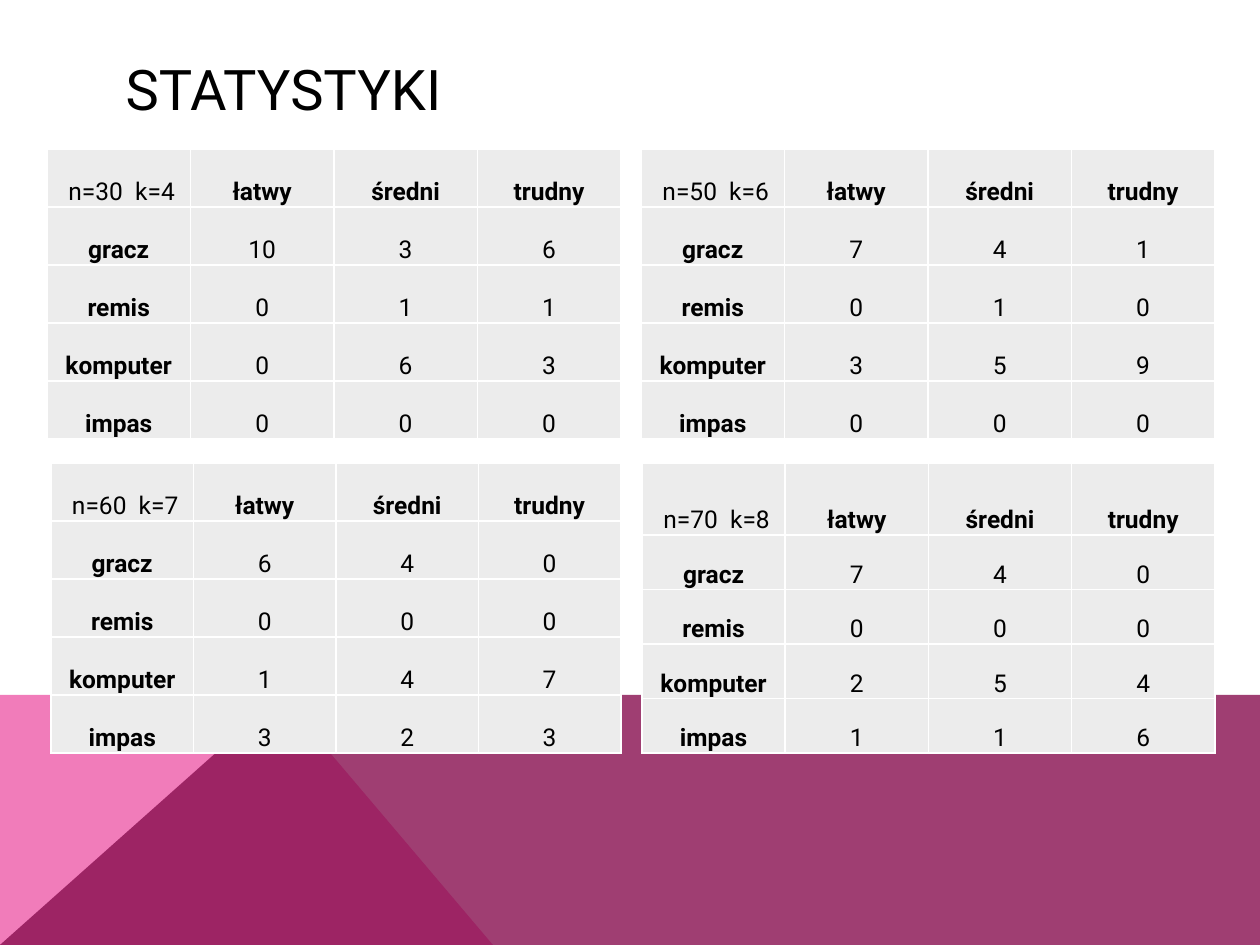
from lxml import etree
from pptx import Presentation
from pptx import util as u
from pptx.dml.color import RGBColor
from pptx.enum import text
from pptx.oxml import ns

PX = u.Inches(1) / 126
FONT = "Roboto"
COLORS = {
    "text": "000000",
    "cell": "ECECEC",
    "border": "FFFFFF",
    "pink": "F17CBA",
    "plum": "880E4F",
}
LEVELS = ["łatwy", "średni", "trudny"]
OUTCOMES = ["gracz", "remis", "komputer", "impas"]

# label, box (left, top, width, height), header row height, counts by outcome
STATS = [
    (" n=30  k=4", (47, 149, 574, 290), 58,
     [(10, 3, 6), (0, 1, 1), (0, 6, 3), (0, 0, 0)]),
    (" n=50  k=6", (641, 149, 574, 290), 58,
     [(7, 4, 1), (0, 1, 0), (3, 5, 9), (0, 0, 0)]),
    (" n=60  k=7", (51, 463, 570, 290), 58,
     [(6, 4, 0), (0, 0, 0), (1, 4, 7), (3, 2, 3)]),
    (" n=70  k=8", (642, 463, 573, 290), 72,
     [(7, 4, 0), (0, 0, 0), (2, 5, 4), (1, 1, 6)]),
]


def px(n):
    return u.Emu(round(n * PX))


def rgb(name):
    return RGBColor.from_string(COLORS[name])


def add_run(p, content, size, bold=False):
    r = p.add_run()
    r.text = content
    r.font.size, r.font.name, r.font.bold = u.Pt(size), FONT, bold
    r.font.color.rgb = rgb("text")


def add_polygon(slide, points, color, opacity=100):
    builder = slide.shapes.build_freeform(*points[0], scale=PX)
    builder.add_line_segments(points[1:], close=True)
    sp = builder.convert_to_shape()
    sp.shadow.inherit = False
    sp.line.fill.background()
    sp.fill.solid()
    sp.fill.fore_color.rgb = rgb(color)
    if opacity < 100:
        clr = sp.fill._xPr.find(".//" + ns.qn("a:srgbClr"))
        etree.SubElement(clr, ns.qn("a:alpha"), val=str(opacity * 1000))


def add_backdrop(slide, x, y, w, h):
    peak = (x + 281, y)
    add_polygon(slide, [(x, y + h), (x, y), peak, (x + 493, y + h)], "pink")
    add_polygon(slide, [(x, y + h), peak, (x + w, y), (x + w, y + h)],
                "plum", opacity=80)


def add_title(slide, x, y, w, h):
    title = slide.shapes.title
    title.left, title.top, title.width, title.height = map(px, (x, y, w, h))
    tf = title.text_frame
    tf.vertical_anchor = text.MSO_ANCHOR.MIDDLE
    p = tf.paragraphs[0]
    p.alignment = text.PP_ALIGN.LEFT
    add_run(p, "STATYSTYKI", 32)


def set_borders(cell):
    tc_pr = cell._tc.get_or_add_tcPr()
    for i, side in enumerate(("lnL", "lnR", "lnT", "lnB")):
        ln = etree.Element(ns.qn("a:" + side), w=str(u.Pt(1)))
        fill = etree.SubElement(ln, ns.qn("a:solidFill"))
        etree.SubElement(fill, ns.qn("a:srgbClr"), val=COLORS["border"])
        tc_pr.insert(i, ln)


def fill_cell(cell, content, bold):
    cell.margin_left = cell.margin_right = cell.margin_top = px(1)
    cell.margin_bottom = 0
    cell.vertical_anchor = text.MSO_ANCHOR.BOTTOM
    cell.fill.solid()
    cell.fill.fore_color.rgb = rgb("cell")
    set_borders(cell)
    p = cell.text_frame.paragraphs[0]
    p.alignment = text.PP_ALIGN.CENTER
    add_run(p, content, 14, bold)


def add_stats_table(slide, label, box, header_h, counts):
    x, y, w, h = box
    rows = [[label, *LEVELS]]
    rows += [[name, *values] for name, values in zip(OUTCOMES, counts)]
    n_rows, n_cols = len(rows), len(rows[0])
    table = slide.shapes.add_table(n_rows, n_cols, *map(px, box)).table
    table.first_row = table.horz_banding = False
    for col in table.columns:
        col.width = px(w / n_cols)
    for i, row in enumerate(rows):
        body_h = (h - header_h) / (n_rows - 1)
        table.rows[i].height = px(body_h if i else header_h)
        for j, value in enumerate(row):
            is_heading = (i == 0) != (j == 0)
            fill_cell(table.cell(i, j), str(value), is_heading)


def main():
    prs = Presentation()
    prs.slide_width, prs.slide_height = px(1260), px(945)
    slide = prs.slides.add_slide(prs.slide_layouts[5])
    add_backdrop(slide, 0, 695, 1260, 250)
    add_title(slide, 113, 50, 1036, 76)
    for stats in STATS:
        add_stats_table(slide, *stats)
    prs.save("out.pptx")


if __name__ == "__main__":
    main()
